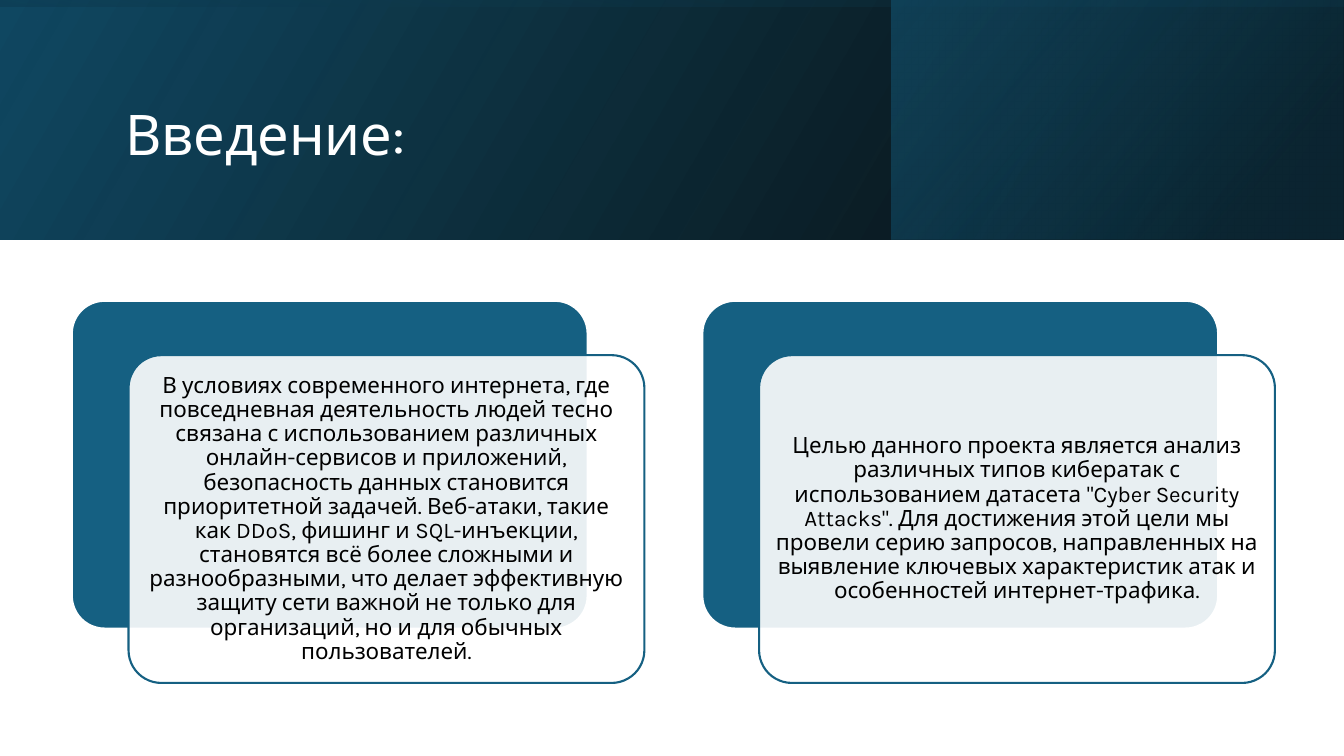
from lxml import etree
from pptx import Presentation
from pptx.dml.color import RGBColor
from pptx.enum import shapes, text
from pptx.oxml import ns
from pptx.util import Cm, Pt

COLORS = {
    "white": "FFFFFF",
    "black": "000000",
    "accent": "156082",
    "deep": "104862",
    "night": "0B3041",
}
FONT = "Karla"
SLIDE_WIDTH, SLIDE_HEIGHT = 33.87, 19.05
BANNER_HEIGHT = 6.03
CARD_WIDTH, CARD_HEIGHT = 13, 8.26
CARD_LEFT, CARD_TOP, CARD_PITCH = 1.81, 7.58, 15.89
FRONT_DX, FRONT_DY = 1.43, 1.37
TEXT_MARGIN = 0.24
CARD_TEXTS = [
    "В условиях современного интернета, где повседневная деятельность людей тесно "
    "связана с использованием различных онлайн-сервисов и приложений, безопасность "
    "данных становится приоритетной задачей. Веб-атаки, такие как DDoS, фишинг и "
    "SQL-инъекции, становятся всё более сложными и разнообразными, что делает "
    "эффективную защиту сети важной не только для организаций, но и для обычных "
    "пользователей.",
    "Целью данного проекта является анализ различных типов кибератак с "
    "использованием датасета \"Cyber Security Attacks\". Для достижения этой цели мы "
    "провели серию запросов, направленных на выявление ключевых характеристик атак и "
    "особенностей интернет-трафика.",
]


def color(name):
    return RGBColor.from_string(COLORS[name])


def add_color_element(parent, name, opacity):
    element = etree.SubElement(parent, ns.qn("a:srgbClr"), val=COLORS[name])
    etree.SubElement(element, ns.qn("a:alpha"), val=str(opacity * 1000))


def add_gradient_panel(slide, box, stops, angle, rotation=0):
    panel = slide.shapes.add_shape(shapes.MSO_SHAPE.RECTANGLE, *map(Cm, box))
    panel.shadow.inherit = False
    panel.line.fill.background()
    panel.rotation = rotation
    properties = panel._element.spPr
    properties.find(ns.qn("a:xfrm")).set("flipH", "1")
    gradient = etree.Element(ns.qn("a:gradFill"), rotWithShape="1")
    stop_list = etree.SubElement(gradient, ns.qn("a:gsLst"))
    for position, name, opacity in stops:
        stop = etree.SubElement(stop_list, ns.qn("a:gs"), pos=str(position * 1000))
        add_color_element(stop, name, opacity)
    etree.SubElement(gradient, ns.qn("a:lin"), ang=str(angle * 60000), scaled="0")
    properties.find(ns.qn("a:prstGeom")).addnext(gradient)


def format_run(run, size, name):
    run.font.size = Pt(size)
    run.font.name = FONT
    run.font.color.rgb = color(name)


def add_banner(slide, left, top, width, height):
    add_gradient_panel(slide, (left, top, width, height),
                       [(0, "black", 96), (100, "deep", 100)], 330)
    side_width = 11.39
    add_gradient_panel(slide, (left + width - side_width, top, side_width, height),
                       [(19, "night", 68), (100, "accent", 48)], 320)
    shift = (width - height) / 2
    add_gradient_panel(slide, (left + shift, top - shift, height, width),
                       [(23, "deep", 16), (99, "black", 45)], 350, 270)

    title = slide.shapes.title
    title.left, title.top = Cm(left + 2.9), Cm(top + 1.27)
    title.width, title.height = Cm(27), Cm(4.37)
    frame = title.text_frame
    frame.text = "Введение:"
    frame.vertical_anchor = text.MSO_ANCHOR.MIDDLE
    paragraph = frame.paragraphs[0]
    paragraph.alignment = text.PP_ALIGN.LEFT
    paragraph.line_spacing = 0.9
    format_run(paragraph.runs[0], 40, "white")
    slide.shapes._spTree.append(title._element)


def add_panel(group, left, top, fill, line):
    panel = group.shapes.add_shape(shapes.MSO_SHAPE.ROUNDED_RECTANGLE, Cm(left), Cm(top),
                                   Cm(CARD_WIDTH), Cm(CARD_HEIGHT))
    panel.adjustments[0] = 0.1
    panel.shadow.inherit = False
    panel.fill.solid()
    panel.fill.fore_color.rgb = color(fill)
    panel.line.color.rgb = color(line)
    panel.line.width = Pt(1.5)
    return panel


def add_card(slide, left, top, content):
    group = slide.shapes.add_group_shape()
    add_panel(group, left, top, "accent", "white")
    front_left, front_top = left + FRONT_DX, top + FRONT_DY
    front = add_panel(group, front_left, front_top, "white", "accent")
    fill = front._element.spPr.find(ns.qn("a:solidFill"))
    fill.clear()
    add_color_element(fill, "white", 90)

    box = group.shapes.add_textbox(
        Cm(front_left + TEXT_MARGIN), Cm(front_top + TEXT_MARGIN),
        Cm(CARD_WIDTH - 2 * TEXT_MARGIN), Cm(CARD_HEIGHT - 2 * TEXT_MARGIN))
    frame = box.text_frame
    frame.word_wrap = True
    frame.vertical_anchor = text.MSO_ANCHOR.MIDDLE
    frame.margin_left = frame.margin_right = Cm(0.17)
    frame.margin_top = frame.margin_bottom = Cm(0.17)
    frame.text = content
    paragraph = frame.paragraphs[0]
    paragraph.alignment = text.PP_ALIGN.CENTER
    paragraph.line_spacing = 0.9
    format_run(paragraph.runs[0], 16, "black")


def main():
    presentation = Presentation()
    presentation.slide_width = Cm(SLIDE_WIDTH)
    presentation.slide_height = Cm(SLIDE_HEIGHT)
    slide = presentation.slides.add_slide(presentation.slide_layouts[5])
    add_banner(slide, 0, 0, SLIDE_WIDTH, BANNER_HEIGHT)
    for index, content in enumerate(CARD_TEXTS):
        add_card(slide, CARD_LEFT + index * CARD_PITCH, CARD_TOP, content)
    presentation.save("out.pptx")


if __name__ == "__main__":
    main()
